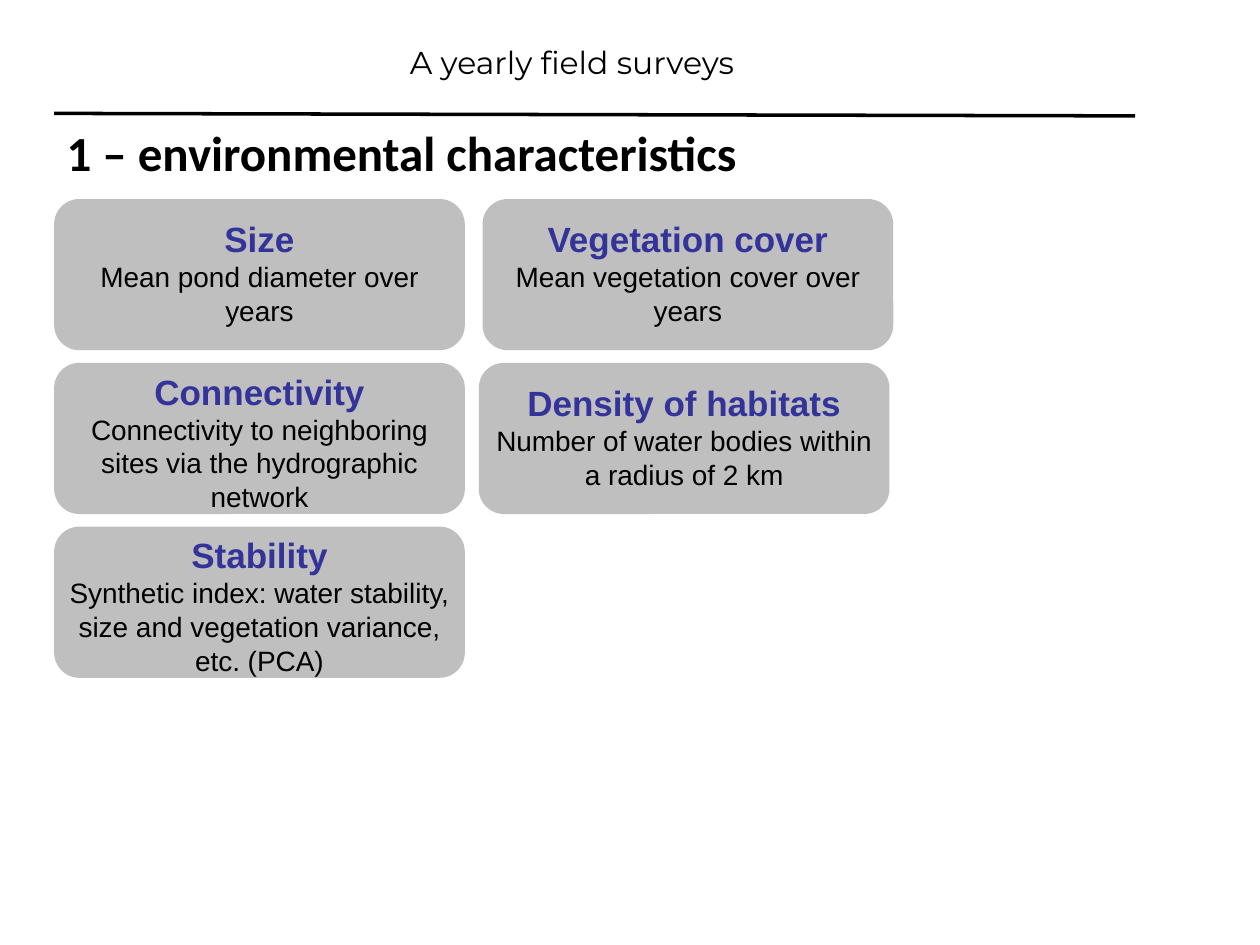
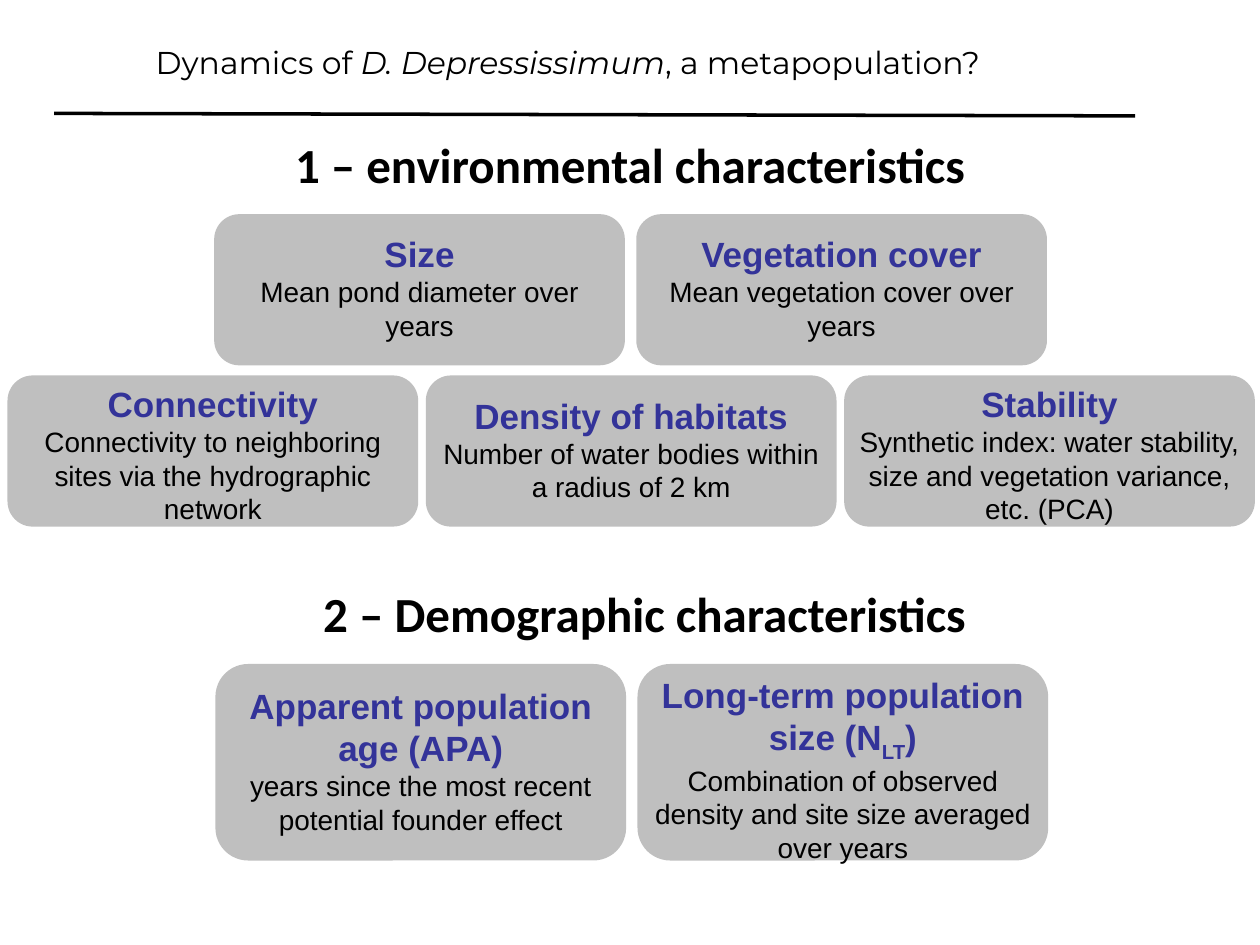
from dataclasses import dataclass

from lxml.etree import SubElement
from pptx import Presentation
from pptx.dml.color import RGBColor
from pptx.enum.shapes import MSO_CONNECTOR, MSO_SHAPE
from pptx.enum.text import MSO_ANCHOR, MSO_AUTO_SIZE, PP_ALIGN
from pptx.oxml.ns import qn
from pptx.util import Inches, Pt


@dataclass(frozen=True)
class Theme:
    ink: RGBColor = RGBColor(0x00, 0x00, 0x00)
    accent: RGBColor = RGBColor(0x33, 0x33, 0x99)
    card_fill: RGBColor = RGBColor(0xBF, 0xBF, 0xBF)
    title_font: str = "Montserrat"
    heading_font: str = "Calibri"
    card_font: str = "Arial"
    title_size: int = 18
    heading_size: int = 28
    term_size: int = 20
    detail_size: int = 16


THEME = Theme()
SLIDE_WIDTH, SLIDE_HEIGHT = 10, 7.5
LEFT = 0.43
CARD_WIDTH = 3.26
CARD_HEIGHT, TALL_CARD_HEIGHT = 1.2, 1.56
ROW_PITCH = 1.3
TITLE_AREA = (LEFT, 0.29, 8.22, 0.4)
RULE_START, RULE_END = (LEFT, 0.9), (9.01, 0.92)
HEADING_HEIGHT = 0.57
ROOMY_MARGIN, TIGHT_MARGIN = 0.09, 0
SIDE_MARGIN = 0.04

PLAIN, ITALIC, SUBSCRIPT = {}, {"italic": True}, {"baseline": -25000}

SIZE = ([("Size", PLAIN)], "Mean pond diameter over years", ROOMY_MARGIN)
VEGETATION = ([("Vegetation cover", PLAIN)], "Mean vegetation cover over years", ROOMY_MARGIN)
CONNECTIVITY = (
    [("Connectivity", PLAIN)],
    "Connectivity to neighboring sites via the hydrographic network",
    TIGHT_MARGIN,
)
DENSITY = (
    [("Density of habitats", PLAIN)],
    "Number of water bodies within a radius of 2 km",
    ROOMY_MARGIN,
)
STABILITY = (
    [("Stability", PLAIN)],
    "Synthetic index: water stability, size and vegetation variance, etc. (PCA)",
    TIGHT_MARGIN,
)
POPULATION_AGE = (
    [("Apparent population age (APA)", PLAIN)],
    "years since the most recent potential founder effect",
    ROOMY_MARGIN,
)
POPULATION_SIZE = (
    [("Long-term population size (N", PLAIN), ("LT", SUBSCRIPT), (")", PLAIN)],
    "Combination of observed density and site size averaged over years",
    TIGHT_MARGIN,
)

ENVIRONMENT = "1 – environmental characteristics"
DEMOGRAPHY = "2 – Demographic characteristics"

PAGES = [
    {
        "title": [("A yearly field surveys", PLAIN)],
        "headings": [(ENVIRONMENT, LEFT, 0.92, PP_ALIGN.LEFT)],
        "rows": [
            (LEFT, 1.58, 0.14, CARD_HEIGHT, [SIZE, VEGETATION]),
            (LEFT, 1.58 + ROW_PITCH, 0.11, CARD_HEIGHT, [CONNECTIVITY, DENSITY]),
            (LEFT, 1.58 + 2 * ROW_PITCH, 0, CARD_HEIGHT, [STABILITY]),
        ],
    },
    {
        "title": [
            ("Dynamics of ", PLAIN),
            ("D. Depressissimum", ITALIC),
            (", a metapopulation? ", PLAIN),
        ],
        "headings": [
            (ENVIRONMENT, 0, 1.02, PP_ALIGN.CENTER),
            (DEMOGRAPHY, 0.23, 4.58, PP_ALIGN.CENTER),
        ],
        "rows": [
            (1.7, 1.7, 0.09, CARD_HEIGHT, [SIZE, VEGETATION]),
            (0.06, 2.98, 0.06, CARD_HEIGHT, [CONNECTIVITY, DENSITY, STABILITY]),
            (1.71, 5.27, 0.09, TALL_CARD_HEIGHT, [POPULATION_AGE, POPULATION_SIZE]),
        ],
    },
]


def write(para, runs, font, size, color, bold=False, align=PP_ALIGN.CENTER):
    para.alignment = align
    for text, style in runs:
        span = para.add_run()
        span.text = text
        span.font.name = font
        span.font.size = Pt(size)
        span.font.bold = bold
        span.font.italic = style.get("italic", False)
        span.font.color.rgb = color
        if "baseline" in style:
            span.font._element.set("baseline", str(style["baseline"]))


def add_title(page, runs):
    title = page.shapes.title
    title.left, title.top, title.width, title.height = map(Inches, TITLE_AREA)
    frame = title.text_frame
    frame.auto_size = MSO_AUTO_SIZE.NONE
    frame.vertical_anchor = MSO_ANCHOR.MIDDLE
    write(frame.paragraphs[0], runs, THEME.title_font, THEME.title_size, THEME.ink)


def add_rule(page):
    rule = page.shapes.add_connector(
        MSO_CONNECTOR.STRAIGHT, *map(Inches, RULE_START + RULE_END)
    )
    rule.line.color.rgb = THEME.ink
    rule.line.width = Pt(2)
    SubElement(rule._element.spPr, qn("a:effectLst"))


def add_heading(page, text, left, top, align):
    box = page.shapes.add_textbox(
        *map(Inches, (left, top, SLIDE_WIDTH - left, HEADING_HEIGHT))
    )
    box.text_frame.word_wrap = True
    write(
        box.text_frame.paragraphs[0], [(text, PLAIN)],
        THEME.heading_font, THEME.heading_size, THEME.ink, True, align,
    )


def add_card(page, left, top, height, term, detail, top_margin):
    card = page.shapes.add_shape(
        MSO_SHAPE.ROUNDED_RECTANGLE, *map(Inches, (left, top, CARD_WIDTH, height))
    )
    card.shadow.inherit = False
    card.fill.solid()
    card.fill.fore_color.rgb = THEME.card_fill
    card.line.fill.background()
    frame = card.text_frame
    frame.word_wrap = True
    frame.vertical_anchor = MSO_ANCHOR.TOP
    frame.margin_left = frame.margin_right = Inches(SIDE_MARGIN)
    frame.margin_top, frame.margin_bottom = Inches(top_margin), 0
    write(frame.paragraphs[0], term, THEME.card_font, THEME.term_size, THEME.accent, True)
    write(
        frame.add_paragraph(), [(detail, PLAIN)],
        THEME.card_font, THEME.detail_size, THEME.ink,
    )


def add_page(deck, content):
    page = deck.slides.add_slide(deck.slide_layouts.get_by_name("Title Only"))
    add_title(page, content["title"])
    add_rule(page)
    for heading in content["headings"]:
        add_heading(page, *heading)
    for left, top, gap, height, cards in content["rows"]:
        for column, card in enumerate(cards):
            add_card(page, left + column * (CARD_WIDTH + gap), top, height, *card)


def main():
    deck = Presentation()
    deck.slide_width, deck.slide_height = Inches(SLIDE_WIDTH), Inches(SLIDE_HEIGHT)
    for content in PAGES:
        add_page(deck, content)
    deck.save("out.pptx")


if __name__ == "__main__":
    main()
